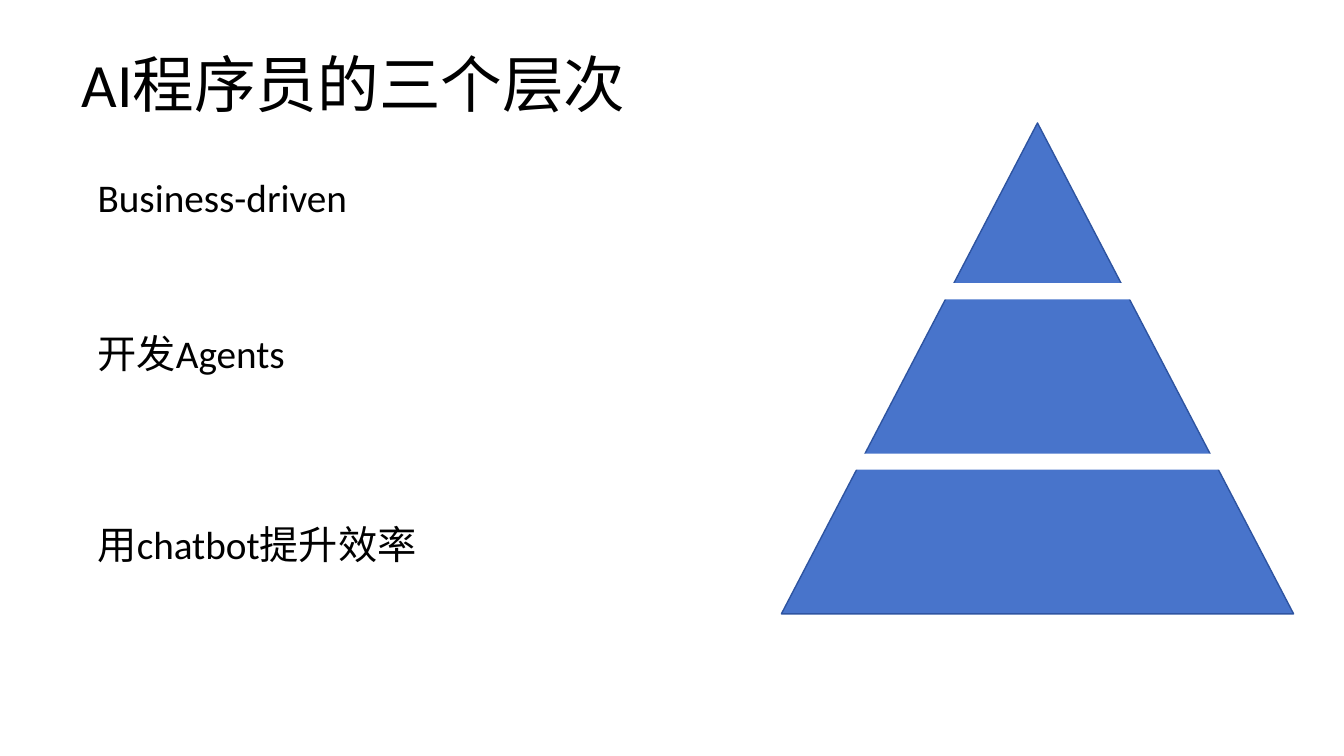
import pptx
import pptx.util
import pptx.dml.color
import pptx.enum.shapes
import pptx.enum.text

Inches = pptx.util.Inches
SHAPE = pptx.enum.shapes.MSO_SHAPE

COLORS = {"text": "000000", "pyramid": "4874CB", "edge": "2E54A1", "gap": "FFFFFF"}
FONT = "Calibri"
TITLE = "AI程序员的三个层次"
LEVELS = [("Business-driven", 1.4), ("开发Agents", 2.95), ("用chatbot提升效率", 4.84)]
PYRAMID = (7.75, 1.22, 5.08, 4.87)
GAP_TOPS = [2.81, 4.5]


def rgb(name):
    return pptx.dml.color.RGBColor.from_string(COLORS[name])


def add_text(s, text, box, size=28, color="text"):
    tf = s.shapes.add_textbox(*map(Inches, box)).text_frame
    tf.word_wrap = True
    tf.vertical_anchor = pptx.enum.text.MSO_ANCHOR.MIDDLE
    p = tf.paragraphs[0]
    p.line_spacing = 0.9
    r = p.add_run()
    r.text = text
    r.font.size = pptx.util.Pt(size)
    r.font.name = FONT
    r.font.color.rgb = rgb(color)


def add_solid(s, kind, box, fill, line=None):
    sp = s.shapes.add_shape(kind, *map(Inches, box))
    sp.shadow.inherit = False
    sp.fill.solid()
    sp.fill.fore_color.rgb = rgb(fill)
    if line:
        sp.line.color.rgb = rgb(line)
        sp.line.width = pptx.util.Pt(1)
    else:
        sp.line.fill.background()


def main():
    """Build the slide with the three levels and the split pyramid."""
    prs = pptx.Presentation()
    prs.slide_width, prs.slide_height = Inches(13.33), Inches(7.5)
    s = prs.slides.add_slide(prs.slide_layouts[6])
    add_text(s, TITLE, (0.71, 0.14, 11.5, 1.45), size=44)
    add_solid(s, SHAPE.ISOSCELES_TRIANGLE, PYRAMID, "pyramid", line="edge")
    for top in GAP_TOPS:
        add_solid(s, SHAPE.RECTANGLE, (7.23, top, 5.76, 0.16), "gap")
    for text, top in LEVELS:
        add_text(s, text, (0.87, top, 6.7, 1.16))
    prs.save("out.pptx")


if __name__ == "__main__":
    main()
